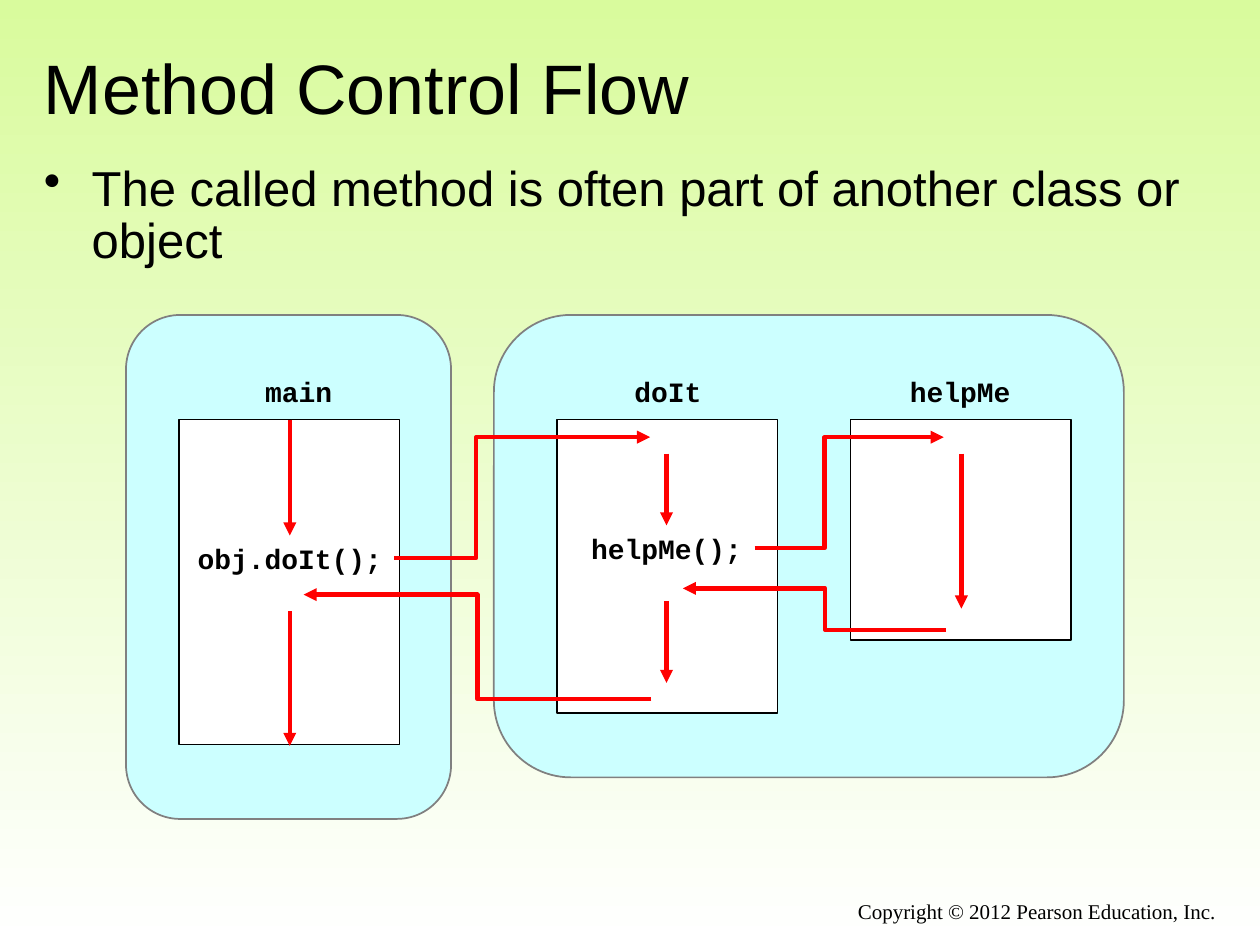
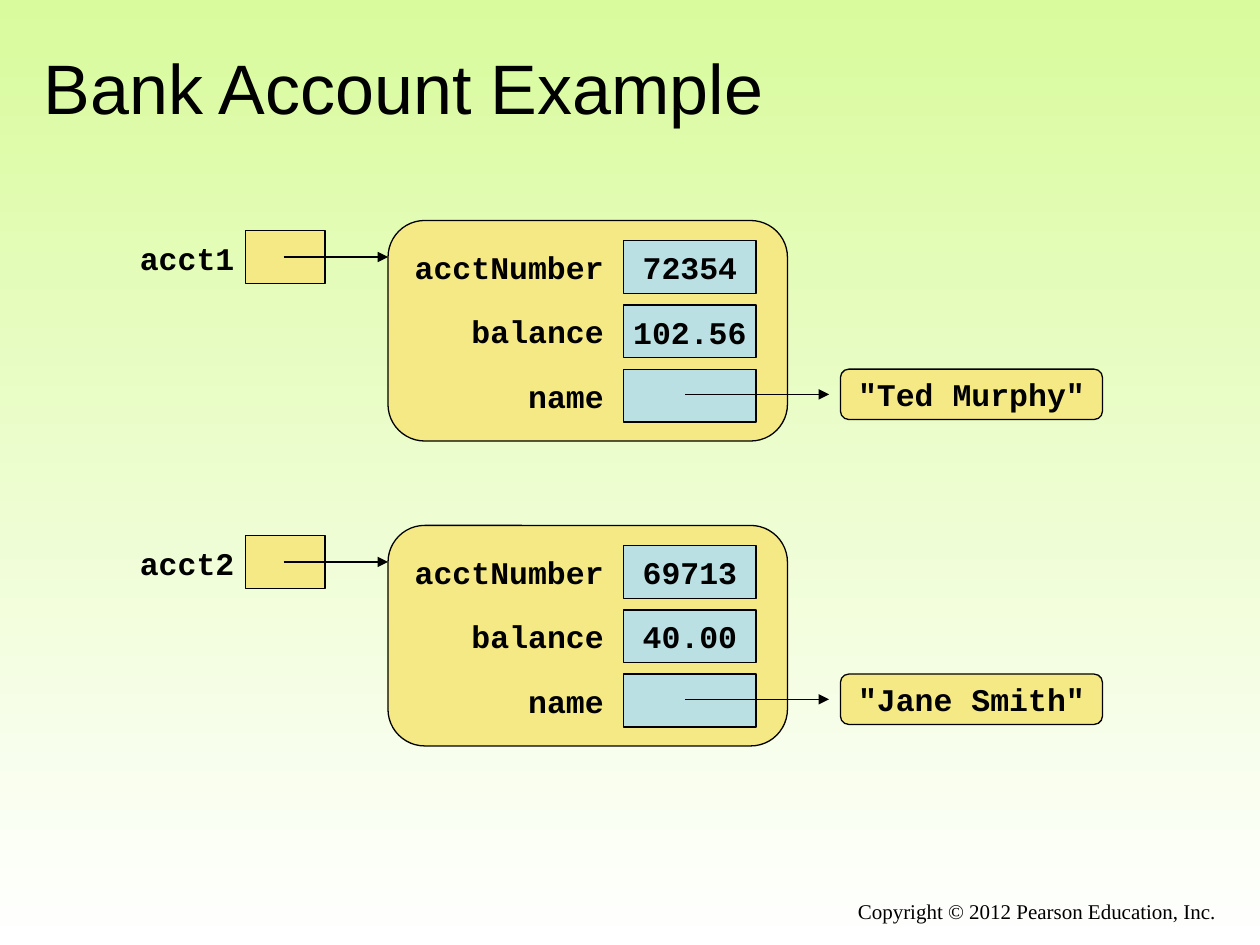
from lxml import etree
from pptx import Presentation
from pptx.dml.color import RGBColor
from pptx.enum import shapes, text
from pptx.oxml import ns
from pptx.util import Inches, Pt

COLORS = {
    "top": "D9FB9D", "bottom": "FFFFFF", "ink": "000000",
    "object": "CCFFFF", "object line": "808080", "method": "FFFFFF", "flow": "FF0000",
    "account": "F5E985", "value": "BBE0E3",
}
FONTS = {
    "title": {"name": "Arial", "size": Pt(40)},
    "body": {"name": "Arial", "size": Pt(28)},
    "method": {"name": "Courier New", "size": Pt(16), "bold": True},
    "field": {"name": "Courier New", "size": Pt(18), "bold": True},
    "footer": {"name": "Times New Roman", "size": Pt(12)},
}
LEFT, CENTER, RIGHT = text.PP_ALIGN.LEFT, text.PP_ALIGN.CENTER, text.PP_ALIGN.RIGHT
RECTANGLE = shapes.MSO_SHAPE.RECTANGLE
ROUNDED = shapes.MSO_SHAPE.ROUNDED_RECTANGLE
ALTERNATE = shapes.MSO_SHAPE.FLOWCHART_ALTERNATE_PROCESS


def add_box(slide, place, kind=None, fill=None, line="ink", weight=0.75, words="",
            font="field", align=CENTER, anchor=text.MSO_ANCHOR.MIDDLE, wrap=False):
    """Add a preset shape, or a text box when no kind is given."""
    place = [Inches(length) for length in place]
    if kind is None:
        shape = slide.shapes.add_textbox(*place)
    else:
        shape = slide.shapes.add_shape(kind, *place)
        shape.shadow.inherit = False
        shape.fill.solid()
        shape.fill.fore_color.rgb = RGBColor.from_string(COLORS[fill])
        shape.line.color.rgb = RGBColor.from_string(COLORS[line])
        shape.line.width = Pt(weight)
    if words:
        frame = shape.text_frame
        frame.word_wrap = wrap
        frame.vertical_anchor = anchor
        paragraph = frame.paragraphs[0]
        paragraph.alignment = align
        run = paragraph.add_run()
        run.text = words
        for name, value in FONTS[font].items():
            setattr(run.font, name, value)
        run.font.color.rgb = RGBColor.from_string(COLORS["ink"])
    return shape


def add_arrow(slide, start, end, color="ink", weight=0.75, bend=None):
    """Add an arrow; bend is the share of its width at which an elbow turns."""
    kind = shapes.MSO_CONNECTOR.STRAIGHT if bend is None else shapes.MSO_CONNECTOR.ELBOW
    arrow = slide.shapes.add_connector(kind, *[Inches(length) for length in start + end])
    arrow.line.color.rgb = RGBColor.from_string(COLORS[color])
    arrow.line.width = Pt(weight)
    properties = arrow._element.spPr
    etree.SubElement(properties.find(ns.qn("a:ln")), ns.qn("a:tailEnd"), type="triangle")
    etree.SubElement(properties, ns.qn("a:effectLst"))
    if bend is not None:
        guides = properties.find(ns.qn("a:prstGeom")).get_or_add_avLst()
        etree.SubElement(guides, ns.qn("a:gd"), name="adj1", fmla=f"val {round(bend * 100000)}")


presentation = Presentation()
presentation.slide_width, presentation.slide_height = Inches(10), Inches(7.5)

# Shared background, titles and footers
background = presentation.slide_master.background.fill
background.gradient()
background.gradient_angle = 270
for stop, color, position in zip(background.gradient_stops, ("top", "bottom"), (0, 1)):
    stop.color.rgb = RGBColor.from_string(COLORS[color])
    stop.position = position

slides = []
for title in ("Method Control Flow", "Bank Account Example"):
    slide = presentation.slides.add_slide(presentation.slide_layouts[6])
    add_box(slide, (0.25, 0.3, 9.5, 0.78), words=title, font="title", align=LEFT, wrap=True)
    add_box(slide, (3.67, 7.08, 6.08, 0.34), words="Copyright © 2012 Pearson Education, Inc.",
            font="footer", align=RIGHT, anchor=text.MSO_ANCHOR.TOP, wrap=True)
    slides.append(slide)
flow_slide, account_slide = slides

# Method control flow
body = add_box(flow_slide, (0.25, 1.25, 9.33, 1), font="body", align=LEFT,
               words="The called method is often part of another class or object",
               anchor=text.MSO_ANCHOR.TOP, wrap=True)
bullet = body.text_frame.paragraphs[0]
bullet.line_spacing = 0.9
bullet_properties = bullet._p.get_or_add_pPr()
bullet_properties.set("marL", str(Inches(0.38)))
bullet_properties.set("indent", str(-Inches(0.38)))
bullet_color = etree.SubElement(bullet_properties, ns.qn("a:buClr"))
etree.SubElement(bullet_color, ns.qn("a:srgbClr"), val=COLORS["ink"])
etree.SubElement(bullet_properties, ns.qn("a:buChar"), char="•")

for left, width, height in ((1, 2.58, 4), (3.92, 5, 3.67)):
    add_box(flow_slide, (left, 2.5, width, height), ALTERNATE, "object", "object line", 1)
for left, height in ((1.42, 2.58), (4.42, 2.33), (6.75, 1.75)):
    add_box(flow_slide, (left, 3.33, 1.75, height), RECTANGLE, "method", weight=1)

for words, center, top in (("main", 2.37, 2.92), ("doIt", 5.3, 2.92), ("helpMe", 7.62, 2.92),
                           ("obj.doIt();", 2.3, 4.25), ("helpMe();", 5.29, 4.17)):
    width = 0.2 + len(words) * 0.6 * 16 / 72
    add_box(flow_slide, (center - width / 2, top, width, 0.37), words=words, font="method")

for x, top, bottom in ((2.3, 3.33, 4.25), (2.3, 4.85, 5.92), (5.29, 3.6, 4.17),
                       (5.29, 4.77, 5.42), (7.63, 3.6, 4.83)):
    add_arrow(flow_slide, (x, top), (x, bottom), "flow", 2.5)

calls_and_returns = (
    ((3.13, 4.43), (5.16, 3.47), 0.32),
    ((5.99, 4.35), (7.49, 3.47), 0.37),
    ((7.51, 5), (5.42, 4.67), 0.46),
    ((5.17, 5.55), (2.41, 4.72), 0.5),
)
for start, end, bend in calls_and_returns:
    add_arrow(flow_slide, start, end, "flow", 2.5, bend)

# Bank accounts: a variable, its object with three fields, and the owner's name
accounts = (
    ("acct1", "72354", "102.56", '"Ted Murphy"'),
    ("acct2", "69713", "40.00", '"Jane Smith"'),
)
for index, (variable, number, balance, owner) in enumerate(accounts):
    top = 1.75 + index * 2.42
    add_box(account_slide, (1.01, top + 0.1, 0.95, 0.4), words=variable)
    add_box(account_slide, (1.95, top + 0.08, 0.63, 0.42), RECTANGLE, "account")
    add_box(account_slide, (3.08, top, 3.17, 1.75), ROUNDED, "account")
    add_arrow(account_slide, (2.25, top + 0.29), (3.08, top + 0.29))
    fields = (("acctNumber", number), ("balance", balance), ("name", ""))
    for row, (field, value) in enumerate(fields):
        field_top = top + 0.16 + row * 0.51
        width = 0.2 + len(field) * 0.6 * 18 / 72
        add_box(account_slide, (4.89 - width, field_top + 0.01, width, 0.4),
                words=field, align=RIGHT)
        add_box(account_slide, (4.95, field_top, 1.05, 0.42), RECTANGLE, "value", words=value)
    add_box(account_slide, (6.67, top + 1.18, 2.08, 0.4), ROUNDED, "account", words=owner)
    add_arrow(account_slide, (5.44, top + 1.38), (6.58, top + 1.38))

presentation.save("out.pptx")
